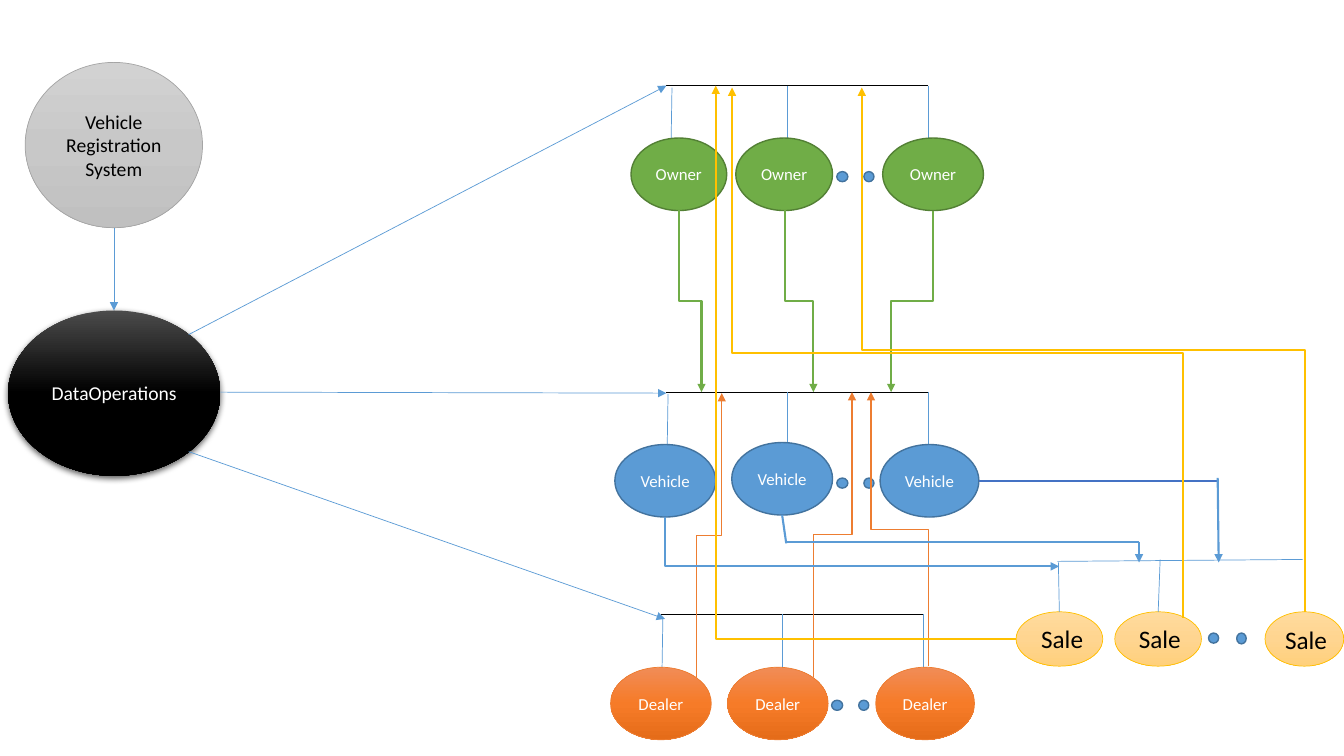
from copy import deepcopy
from dataclasses import dataclass

from lxml.etree import SubElement
from pptx import Presentation
from pptx.dml.color import RGBColor
from pptx.enum.shapes import MSO_CONNECTOR as Link, MSO_SHAPE as Preset
from pptx.enum.text import MSO_ANCHOR as Anchor, PP_ALIGN as Align
from pptx.oxml.ns import qn
from pptx.util import Pt

Point = tuple[float, float]
BLUE, GREEN, ORANGE, GOLD = "5B9BD5", "70AD47", "ED7D31", "FFC000"
BLACK, WHITE, DARK_BLUE = "000000", "FFFFFF", "43739E"
GREY_BLEND = ("D2D2D2", "C8C8C8", "C0C0C0")
BLACK_BLEND = ("4B4B4B", BLACK, BLACK)
ORANGE_BLEND = ("F18C57", "F67B28", "E56C19")
GOLD_BLEND = ("FFDB9E", "FFD590", "FFD07C")


@dataclass
class Style:
    fill: tuple[str, ...]  # one colour, or three for a vertical blend
    outline: str = ""
    weight: float = 0.5
    ink: str = WHITE
    size: float = 12


@dataclass
class Node:
    left: float
    top: float
    width: float
    height: float = 51.8


@dataclass
class Group:
    """A rail with three drops, three labelled ellipses and two dots."""
    label: str
    rail: Point
    lead: float  # shift of the first drop along the rail
    style: Style
    nodes: tuple[Node, ...]


@dataclass
class Line:
    start: Point
    end: Point
    color: str = BLUE
    weight: float = 0.5
    arrow: bool = False


@dataclass
class Elbow:
    """Leaves vertically, with one or two corners; or horizontally, with one."""
    start: Point
    end: Point
    color: str
    weight: float = 1.5
    corners: int = 2
    vertical: bool = True


DOT = Style((BLUE,), DARK_BLUE, 1)
SALE = Style(GOLD_BLEND, GOLD)

SYSTEM = Node(18, 44.6, 126.7, 118.1)
OPERATIONS = Node(5.8, 221.8, 151.5, 118.1)

GROUPS = (
    Group("Owner", (476, 61.2), 4, Style((GREEN,), "538035", 1),
          (Node(450.7, 98.6, 68.4), Node(525.6, 98.6, 69.1), Node(630.5, 98.6, 72))),
    Group("Vehicle", (476, 280.1), 1.2, Style((BLUE,), DARK_BLUE, 1),
          (Node(439.2, 317.5, 72), Node(522.7, 316.1, 72), Node(628.6, 317.5, 70.6))),
    Group("Dealer", (472.3, 438.8), 1.2, Style(ORANGE_BLEND, ORANGE),
          (Node(436.1, 476.6, 72), Node(519.6, 476.6, 72), Node(625.5, 476.6, 70.6))),
)

SALES = (Node(725.8, 437, 61.9, 38.9), Node(903.6, 437, 56.2, 38.9),
         Node(796.3, 437, 61.9, 38.9))
SALE_LABELS = (Node(736.6, 441.4, 77, 29), Node(910.8, 442.1, 59, 29),
               Node(806.4, 441.4, 77, 29))
SALE_DOTS = (Node(863.3, 452.2, 7.2, 7.2), Node(883.4, 452.2, 6.8, 7.7))

OPERATION_ARROWS = (
    Line((81.4, 162.7), (81.4, 221.8), arrow=True),
    Line((157.5, 280.1), (476, 280.8), arrow=True),
    Line((134.8, 322.6), (475, 442.1), arrow=True),
    Line((134.8, 239), (476, 61.2), arrow=True),
)
SALE_LINES = (
    Line((756.7, 437), (756, 401.8)),
    Line((755.3, 401), (930.5, 399.6)),
    Line((931.7, 398.9), (931.7, 437)),
    Line((828.7, 399.6), (827.3, 437)),
    Line((558.7, 367.9), (561.6, 388.1), weight=1.5),
    Line((560.9, 386.9), (813.6, 386.9), weight=1.5),
    Line((813.6, 386.9), (813.6, 401.8), weight=1.5, arrow=True),
    Line((699.1, 343.4), (869.8, 343.4), "4472C4", 1.5),
    Line((869.8, 341.3), (870.5, 401.8), weight=1.5, arrow=True),
)
LINKS_TO_VEHICLES = (
    Elbow((485.3, 150.4), (501.1, 280.1), GREEN),
    Elbow((560.6, 150.4), (581, 280.1), GREEN),
    Elbow((666.6, 150.4), (636.5, 280.1), GREEN),
    Elbow((497.5, 483.8), (515.5, 280.8), ORANGE, 1),
    Elbow((581, 483.8), (608.6, 280.1), ORANGE, 1),
    Elbow((663.1, 476), (622.1, 280.1), ORANGE, 1),
)
SALE_LINKS = (
    Elbow((475.2, 369.4), (756.5, 404.6), BLUE, corners=1),
    Elbow((931.9, 437), (615.6, 62.6), GOLD),
    Elbow((844.8, 441.4), (522.9, 62.6), GOLD),
    Elbow((725.8, 456.5), (511.3, 61.2), GOLD, corners=1, vertical=False),
)


def color(code: str) -> RGBColor:
    return RGBColor.from_string(code)


def write(para, words: str, ink: str, size: float) -> None:
    span = para.add_run()
    span.text = words
    span.font.name, span.font.size = "Calibri", Pt(size)
    span.font.color.rgb = color(ink)


def add_ellipse(page, node: Node, style: Style, label: str = ""):
    shape = page.shapes.add_shape(Preset.OVAL, Pt(node.left), Pt(node.top),
                                  Pt(node.width), Pt(node.height))
    shape.shadow.inherit = False
    if len(style.fill) == 1:
        shape.fill.solid()
        shape.fill.fore_color.rgb = color(style.fill[0])
    else:
        shape.fill.gradient()
        shape.fill.gradient_angle = 270
        stops = shape._element.spPr.find(".//" + qn("a:gsLst"))
        stops.append(deepcopy(stops[-1]))
        for stop, place, code in zip(shape.fill.gradient_stops, (0, 0.5, 1), style.fill):
            stop.position, stop.color.rgb = place, color(code)
    if style.outline:
        shape.line.color.rgb, shape.line.width = color(style.outline), Pt(style.weight)
    else:
        shape.line.fill.background()
    if label:
        shape.text_frame.word_wrap = True
        shape.text_frame.vertical_anchor = Anchor.MIDDLE
        para = shape.text_frame.paragraphs[0]
        para.alignment = Align.CENTER
        write(para, label, style.ink, style.size)
    return shape


def add_drop_shadow(shape) -> None:
    effects = shape._element.spPr.find(qn("a:effectLst"))
    shadow = SubElement(effects, qn("a:outerShdw"), blurRad=str(Pt(4.5)),
                        dist=str(Pt(1.5)), dir="5400000", rotWithShape="0")
    tint = SubElement(shadow, qn("a:srgbClr"), val=BLACK)
    SubElement(tint, qn("a:alpha"), val="63000")


def add_link(page, kind, start: Point, end: Point, code: str, weight: float, arrow: bool):
    link = page.shapes.add_connector(kind, *(Pt(value) for value in (*start, *end)))
    link.line.color.rgb, link.line.width = color(code), Pt(weight)
    if arrow:
        SubElement(link.line._get_or_add_ln(), qn("a:tailEnd"), type="triangle")
    SubElement(link._element.spPr, qn("a:effectLst"))
    return link


def add_line(page, line: Line) -> None:
    add_link(page, Link.STRAIGHT, line.start, line.end, line.color, line.weight, line.arrow)


def add_elbow(page, elbow: Elbow) -> None:
    (x1, y1), (x2, y2) = start, end = elbow.start, elbow.end
    if elbow.vertical:  # a box on its side, turned about its centre
        middle_x, middle_y = (x1 + x2) / 2, (y1 + y2) / 2
        half_width, half_height = abs(y2 - y1) / 2, abs(x2 - x1) / 2
        start = middle_x - half_width, middle_y - half_height
        end = middle_x + half_width, middle_y + half_height
    link = add_link(page, Link.ELBOW, start, end, elbow.color, elbow.weight, True)
    properties = link._element.spPr
    if elbow.vertical:
        frame = properties.find(qn("a:xfrm"))
        frame.set("rot", str((90 if y2 > y1 else 270) * 60000))
        if (x2 > x1) == (y2 > y1):
            frame.set("flipV", "1")
    properties.find(qn("a:prstGeom")).set("prst", f"bentConnector{elbow.corners + 1}")


def add_group(page, group: Group) -> None:
    x, y = group.rail
    add_line(page, Line((x, y), (x + 187.2, y), BLACK))
    add_line(page, Line((x + group.lead, y + 1.5), (x + group.lead - 0.7, y + 45.4)))
    for shift in (86.4, 187.2):
        add_line(page, Line((x + shift, y), (x + shift, y + 45)))
    for node in group.nodes:
        add_ellipse(page, node, group.style, group.label)
    for shift, width in ((121.7, 7.9), (141.1, 7.2)):
        add_ellipse(page, Node(x + shift, y + 61.4, width, 7.2), DOT)


def add_sale_label(page, node: Node) -> None:
    box = page.shapes.add_textbox(Pt(node.left), Pt(node.top), Pt(node.width), Pt(node.height))
    box.text_frame.word_wrap = True
    write(box.text_frame.paragraphs[0], "Sale", BLACK, 18)


def main() -> None:
    deck = Presentation()
    deck.slide_width, deck.slide_height = Pt(960), Pt(540)
    page = deck.slides.add_slide(deck.slide_layouts[6])
    add_ellipse(page, SYSTEM, Style(GREY_BLEND, "A5A5A5", ink=BLACK, size=14),
                "Vehicle Registration System")
    add_drop_shadow(add_ellipse(page, OPERATIONS, Style(BLACK_BLEND, size=14), "DataOperations"))
    for group in GROUPS:
        add_group(page, group)
    for line in OPERATION_ARROWS:
        add_line(page, line)
    for elbow in LINKS_TO_VEHICLES:
        add_elbow(page, elbow)
    for node, label in zip(SALES, SALE_LABELS):
        add_ellipse(page, node, SALE)
        add_sale_label(page, label)
    for node in SALE_DOTS:
        add_ellipse(page, node, DOT)
    for line in SALE_LINES:
        add_line(page, line)
    for elbow in SALE_LINKS:
        add_elbow(page, elbow)
    deck.save("out.pptx")


if __name__ == "__main__":
    main()
